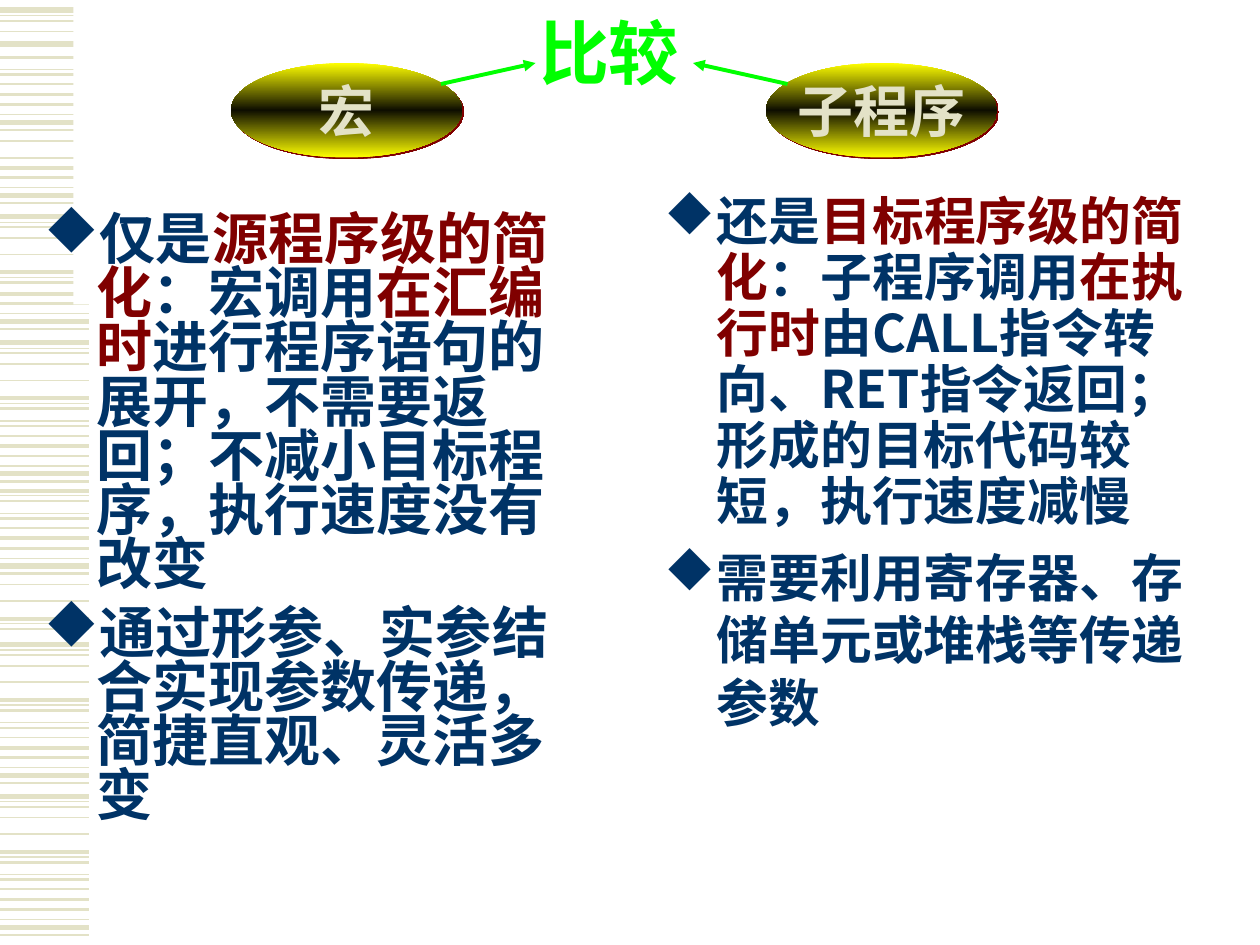
from copy import deepcopy

from lxml import etree
from pptx import Presentation
from pptx.dml.color import RGBColor
from pptx.enum.shapes import MSO_CONNECTOR, MSO_SHAPE
from pptx.enum.text import MSO_ANCHOR, PP_ALIGN
from pptx.oxml.ns import qn
from pptx.util import Pt

TITLE = "比较"
OVALS = [("宏", 132), ("子程序", 437.75)]
ARROWS = [((252, 48), (306, 36)), ((450, 48), (396, 36))]

# Each run is (text, colour name); each paragraph is (line pitch, font name, runs)
COLUMNS = [
    dict(box=(18, 120, 324, 360), size="left", paragraphs=[
        (31, "serif", [("仅是", "navy"), ("源程序级的简化", "red"), ("：宏调用", "navy"),
                       ("在汇编时", "red"),
                       ("进行程序语句的展开，不需要返回；不减小目标程序，执行速度没有改变", "navy")]),
        (31, "serif", [("通过形参、实参结合实现参数传递，简捷直观、灵活多变", "navy")]),
    ]),
    dict(box=(372.5, 108, 324, 390), size="right", paragraphs=[
        (32, "cjk", [("还是", "navy"), ("目标程序级的简化", "red"), ("：子程序调用", "navy"),
                     ("在执行时", "red"),
                     ("由CALL指令转向、RET指令返回；形成的目标代码较短，执行速度减慢", "navy")]),
        (35.7, "serif", [("需要利用寄存器、存储单元或堆栈等传递参数", "navy")]),
    ]),
]

# Stripe motif, upwards from its lowest line: (distance, line width)
MOTIF = [(0, 1.5), (4.3, 3), (8.7, 0.75), (14.4, 1.5), (20.2, 2.25), (26, 1),
         (31.5, 1.5), (34.4, 0.75), (41.5, 1.5), (44.5, 0.75), (47.4, 2.25), (57.5, 1),
         (67, 1), (73.1, 1), (76, 0.75), (79.2, 3)]
# Where the motif stands: (its lowest line, first stripe, stop)
BANDS = [(534.2, 0, 16), (447.4, 0, 16), (401, 8, 13), (327.8, 0, 11), (275, 0, 16),
         (188, 0, 5), (203, 8, 16), (116, 0, 5), (147.6, 11, 13), (74.2, 0, 9),
         (29.5, 1, 2), (85, 12, 16)]
STRIPE_END = 51

THEME = dict(
    colours=dict(navy="003366", red="800000", green="00FF00", stripe="E3E2C7",
                 white="FFFFFF", yellow="FFFF00", black="0E0E00"),
    sizes=dict(title=40, oval=32, left=32, right=29.6),
    fonts=dict(serif="Times New Roman", sans="Arial", cjk="Noto Sans CJK SC",
               bullet="Wingdings"),
)
DIAMOND = "u"  # a diamond in the bullet font


def colour(name):
    return RGBColor.from_string(THEME["colours"][name])


def xml_child(parent, tag, **attrs):
    return etree.SubElement(parent, qn(tag), {k: str(v) for k, v in attrs.items()})


def xml_colour(parent, name):
    xml_child(parent, "a:srgbClr", val=THEME["colours"][name])


def set_all(obj, values):
    for name, value in values.items():
        setattr(obj, name, value)


def add_run(p, text, size, font, colour_name):
    r = p.add_run()
    r.text = text
    set_all(r.font, dict(size=Pt(THEME["sizes"][size]), bold=True,
                         name=THEME["fonts"][font]))
    r.font.color.rgb = colour(colour_name)
    xml_child(r.font._element, "a:ea", typeface=THEME["fonts"]["cjk"])


def add_line(s, start, end, colour_name, width, arrow=False):
    line = s.shapes.add_connector(MSO_CONNECTOR.STRAIGHT, *map(Pt, start + end))
    line.line.color.rgb = colour(colour_name)
    line.line.width = Pt(width)
    if arrow:
        xml_child(line.line._get_or_add_ln(), "a:tailEnd", type="triangle")
    xml_child(line._element.spPr, "a:effectLst")


def add_stripes(s):
    for base, first, stop in BANDS:
        for distance, width in MOTIF[first:stop]:
            y = base - distance
            add_line(s, (0, y), (STRIPE_END, y), "stripe", width)


def add_header_panel(s):
    sp = s.shapes.add_shape(MSO_SHAPE.RECTANGLE, Pt(42), 0, Pt(678), Pt(174))
    sp.shadow.inherit = False
    sp.fill.solid()
    sp.fill.fore_color.rgb = colour("white")
    sp.line.fill.background()


def add_bullet(p):
    """Hang a diamond before the paragraph and keep punctuation inside the box."""
    pPr = p._p.get_or_add_pPr()
    for name, value in dict(marL=Pt(30), indent=Pt(-30), hangingPunct=0).items():
        pPr.set(name, str(value))
    xml_colour(xml_child(pPr, "a:buClr"), "navy")
    xml_child(pPr, "a:buFont", typeface=THEME["fonts"]["bullet"], charset=2)
    xml_child(pPr, "a:buChar", char=DIAMOND)


def add_column(s, box, size, paragraphs):
    tf = s.shapes.add_textbox(*map(Pt, box)).text_frame
    tf.word_wrap = True
    for i, (pitch, font, runs) in enumerate(paragraphs):
        p = tf.add_paragraph() if i else tf.paragraphs[0]
        add_bullet(p)
        set_all(p, dict(line_spacing=Pt(pitch), space_before=Pt(8 if i else 0)))
        for text, colour_name in runs:
            add_run(p, text, size, font, colour_name)


def format_title(s):
    sp = s.shapes.title
    s.shapes._spTree.append(sp._element)  # in front of the header panel
    set_all(sp, dict(left=Pt(300), top=Pt(0), width=Pt(96), height=Pt(66)))
    set_all(sp.text_frame, dict(word_wrap=False, vertical_anchor=MSO_ANCHOR.MIDDLE))
    p = sp.text_frame.paragraphs[0]
    set_all(p, dict(alignment=PP_ALIGN.CENTER, line_spacing=0.85))
    add_run(p, TITLE, "title", "serif", "green")


def add_oval(s, text, left):
    sp = s.shapes.add_shape(MSO_SHAPE.OVAL, Pt(left), Pt(36), Pt(132), Pt(54))
    sp.fill.gradient()
    sp.fill.gradient_angle = 90
    for stop, name in zip(sp.fill.gradient_stops, ("yellow", "black")):
        stop.color.rgb = colour(name)
    stops = sp._element.spPr.find(".//" + qn("a:gsLst"))
    stops[1].set("pos", "50000")
    stops.append(deepcopy(stops[0]))
    stops[2].set("pos", "100000")
    sp.line.fill.background()
    sp.shadow.inherit = False
    effects = sp._element.spPr.find(qn("a:effectLst"))
    xml_colour(xml_child(effects, "a:outerShdw", dist=Pt(1.4), dir=45 * 60000,
                         algn="ctr", rotWithShape=0), "red")
    set_all(sp.text_frame, dict(word_wrap=False, vertical_anchor=MSO_ANCHOR.MIDDLE))
    p = sp.text_frame.paragraphs[0]
    p.alignment = PP_ALIGN.CENTER
    add_run(p, text, "oval", "sans", "stripe")


def main():
    prs = Presentation()
    set_all(prs, dict(slide_width=Pt(720), slide_height=Pt(540)))
    s = prs.slides.add_slide(prs.slide_layouts[5])
    add_stripes(s)
    add_header_panel(s)
    for column in COLUMNS:
        add_column(s, **column)
    format_title(s)
    for text, left in OVALS:
        add_oval(s, text, left)
    for start, end in ARROWS:
        add_line(s, start, end, "green", 2.25, arrow=True)
    prs.save("out.pptx")


if __name__ == "__main__":
    main()
